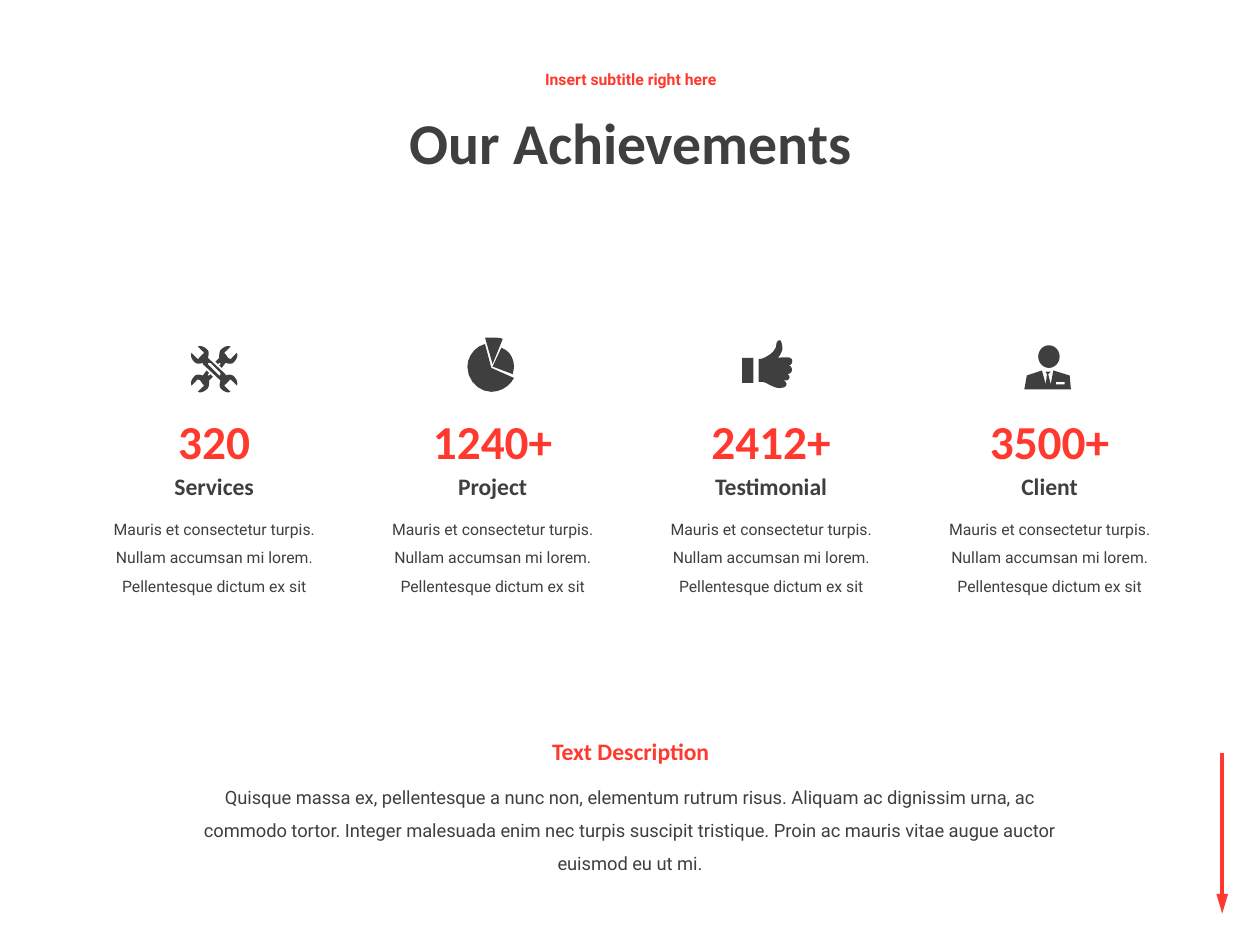
from lxml import etree
from pptx import Presentation
from pptx.dml.color import RGBColor
from pptx.enum.shapes import MSO_CONNECTOR, MSO_SHAPE
from pptx.enum.text import MSO_ANCHOR, MSO_AUTO_SIZE, PP_ALIGN
from pptx.oxml.ns import qn
from pptx.util import Inches, Pt

CENTER = PP_ALIGN.CENTER
MIDDLE, TOP = MSO_ANCHOR.MIDDLE, MSO_ANCHOR.TOP
FIT_TEXT, NO_FIT = MSO_AUTO_SIZE.SHAPE_TO_FIT_TEXT, MSO_AUTO_SIZE.NONE
RECT, OVAL = MSO_SHAPE.RECTANGLE, MSO_SHAPE.OVAL
STRAIGHT = MSO_CONNECTOR.STRAIGHT

THEME = {
    "red": RGBColor(0xFF, 0x39, 0x2E),
    "dark": RGBColor(0x3F, 0x3F, 0x3F),
    "heading": "Calibri",
    "body": "Roboto",
    "title_size": 33,
    "number_size": 27,
    "label_size": 13.5,
    "text_size": 10.5,
    "small_size": 9,
}
RED, DARK = THEME["red"], THEME["dark"]
HEADING, BODY = THEME["heading"], THEME["body"]

prs = Presentation()
prs.slide_width, prs.slide_height = Inches(10), Inches(7.5)
s = prs.slides.add_slide(prs.slide_layouts[5])


def put_text(sp, box, text, font, size, color, bold=True, spacing=1.0,
             anchor=TOP, fit=FIT_TEXT):
    """Place a text shape at box (inches) and format its single paragraph."""
    sp.left, sp.top, sp.width, sp.height = [Inches(v) for v in box]
    tf = sp.text_frame
    tf.word_wrap = True
    tf.auto_size = fit
    tf.vertical_anchor = anchor
    tf.margin_left = tf.margin_right = Inches(0.07)
    tf.margin_top = tf.margin_bottom = Inches(0.05)
    p = tf.paragraphs[0]
    p.text = text
    p.alignment = CENTER
    p.line_spacing = spacing
    f = p.runs[0].font
    f.name, f.size, f.bold = font, Pt(size), bold
    f.color.rgb = color


def add_outline(shapes, *contours):
    """Draw closed contours; a step is a point (x, y) or a Bezier curve of six numbers."""
    builder = None
    for contour in contours:
        points = []
        for step in contour:
            if len(step) == 2:
                points.append(step)
                continue
            ctrl = [points[-1], step[:2], step[2:4], step[4:]]
            for t in (0.2, 0.4, 0.6, 0.8, 1):
                weights = ((1 - t) ** 3, 3 * t * (1 - t) ** 2, 3 * t * t * (1 - t), t ** 3)
                points.append(tuple(sum(w * c[axis] for w, c in zip(weights, ctrl))
                                    for axis in (0, 1)))
        emu = [(Inches(x), Inches(y)) for x, y in points]
        if builder is None:
            builder = shapes.build_freeform(*emu[0])
        else:
            builder.move_to(*emu[0])
        builder.add_line_segments(emu[1:], close=True)
    builder.convert_to_shape()


# Title and subtitle
put_text(s.shapes.title, (2.19, 0.64, 5.63, 1.03), "Our Achievements", HEADING,
         THEME["title_size"], DARK, spacing=0.9, anchor=MIDDLE, fit=NO_FIT)
put_text(s.shapes.add_textbox(0, 0, 0, 0), (2.19, 0.45, 5.63, 0.38),
         "Insert subtitle right here", BODY, THEME["small_size"], RED,
         spacing=0.9, anchor=MIDDLE, fit=NO_FIT)

wrenches, pie, thumb, person = [s.shapes.add_group_shape() for _ in range(4)]

# Crossed wrenches: each half is repeated by a half turn about the centre
CX, CY = 1.7, 2.93
short_wrench = [
    (1.73, 2.89), (1.74, 2.88), (1.75, 2.88), (1.75, 2.89), (1.74, 2.9), (1.76, 2.92),
    (1.79, 2.88), (1.82, 2.89, 1.85, 2.89, 1.86, 2.87), (1.88, 2.85, 1.89, 2.82, 1.88, 2.8),
    (1.84, 2.84), (1.84, 2.85, 1.82, 2.85, 1.81, 2.84), (1.79, 2.81),
    (1.78, 2.81, 1.78, 2.79, 1.79, 2.79), (1.83, 2.75),
    (1.81, 2.74, 1.78, 2.75, 1.76, 2.77), (1.74, 2.78, 1.74, 2.81, 1.74, 2.84), (1.71, 2.87),
]
long_half = [
    (1.79, 2.97), (1.65, 2.84), (1.66, 2.81, 1.66, 2.78, 1.64, 2.77),
    (1.62, 2.75, 1.59, 2.74, 1.57, 2.75), (1.61, 2.79), (1.62, 2.79, 1.62, 2.81, 1.61, 2.81),
    (1.58, 2.84), (1.58, 2.85, 1.57, 2.85, 1.56, 2.84), (1.52, 2.8),
    (1.51, 2.82, 1.52, 2.85, 1.54, 2.87), (1.56, 2.89, 1.58, 2.89, 1.61, 2.88),
]
slot = [(1.75, 2.98), (1.74, 2.98), (1.65, 2.89), (1.65, 2.88), (1.67, 2.88), (1.75, 2.96)]
short_turned, long_turned = [
    [tuple(2 * (CY if i % 2 else CX) - v for i, v in enumerate(step)) for step in half]
    for half in (short_wrench, long_half)]
add_outline(wrenches.shapes, short_wrench)
add_outline(wrenches.shapes, short_turned)
add_outline(wrenches.shapes, long_half + long_turned, slot)

# Pie
add_outline(pie.shapes, [(3.91, 2.91), (4.07, 2.97), (4.07, 2.96, 4.08, 2.93, 4.08, 2.91),
                         (4.08, 2.84, 4.04, 2.78, 3.98, 2.76)])
add_outline(pie.shapes, [(3.9, 2.92), (3.85, 2.73), (3.77, 2.75, 3.71, 2.83, 3.71, 2.91),
                         (3.71, 3.02, 3.8, 3.11, 3.9, 3.11), (3.98, 3.11, 4.05, 3.06, 4.08, 3)])
add_outline(pie.shapes, [(3.91, 2.89), (3.99, 2.69), (3.97, 2.68, 3.94, 2.68, 3.9, 2.68),
                         (3.89, 2.68, 3.87, 2.68, 3.85, 2.68)])

# Thumb up
add_outline(thumb.shapes, [
    (6.27, 2.84), (6.25, 2.83, 6.17, 2.84, 6.17, 2.84), (6.19, 2.83, 6.21, 2.78, 6.21, 2.77),
    (6.21, 2.74, 6.2, 2.7, 6.19, 2.7), (6.16, 2.7, 6.16, 2.74, 6.16, 2.75),
    (6.15, 2.78, 6.12, 2.81, 6.1, 2.82), (6.08, 2.83, 6.06, 2.85, 6.02, 2.85), (6.02, 3.03),
    (6.04, 3.03, 6.06, 3.03, 6.08, 3.04), (6.12, 3.06, 6.15, 3.08, 6.19, 3.08),
    (6.26, 3.08, 6.25, 3.03, 6.22, 3.02), (6.27, 3.03, 6.28, 2.98, 6.25, 2.97),
    (6.3, 2.97, 6.29, 2.9, 6.26, 2.9), (6.29, 2.9, 6.3, 2.85, 6.27, 2.84)])
thumb.shapes.add_shape(RECT, Inches(5.89), Inches(2.84), Inches(0.09), Inches(0.2))

# Person in a suit
add_outline(person.shapes,
            [(8.49, 2.98), (8.36, 2.94), (8.34, 3.05), (8.32, 2.97), (8.34, 2.95), (8.3, 2.95),
             (8.31, 2.97), (8.3, 3.05), (8.27, 2.94), (8.15, 2.98), (8.13, 3.09), (8.5, 3.09)],
            [(8.45, 3.05), (8.38, 3.05), (8.38, 3.03), (8.45, 3.03)])
person.shapes.add_shape(OVAL, Inches(8.24), Inches(2.74), Inches(0.17), Inches(0.18))

for icon in (wrenches, pie, thumb, person):
    for sp in icon.shapes:
        sp.shadow.inherit = False
        sp.fill.solid()
        sp.fill.fore_color.rgb = DARK
        sp.line.fill.background()

# Figures in four equal columns
FIRST_CENTER, STEP = 1.7, 2.21
achievements = [("320", "Services"), ("1240+", "Project"),
                ("2412+", "Testimonial"), ("3500+", "Client")]
for i, (number, label) in enumerate(achievements):
    center = FIRST_CENTER + i * STEP
    put_text(s.shapes.add_textbox(0, 0, 0, 0), (center - 0.88, 3.22, 1.76, 0.56),
             number, HEADING, THEME["number_size"], RED)
    put_text(s.shapes.add_textbox(0, 0, 0, 0), (center - 0.7, 3.7, 1.4, 0.33),
             label, HEADING, THEME["label_size"], DARK)
    put_text(s.shapes.add_textbox(0, 0, 0, 0), (center - 0.98, 4, 1.96, 0.76),
             "Mauris et consectetur turpis. Nullam accumsan mi lorem. "
             "Pellentesque dictum ex sit",
             BODY, THEME["small_size"], DARK, bold=False, spacing=1.5)

# Description
put_text(s.shapes.add_textbox(0, 0, 0, 0), (3.91, 5.8, 2.19, 0.33),
         "Text Description", HEADING, THEME["label_size"], RED)
put_text(s.shapes.add_textbox(0, 0, 0, 0), (1.44, 6.1, 7.12, 0.6),
         "Quisque massa ex, pellentesque a nunc non, elementum rutrum risus. Aliquam ac "
         "dignissim urna, ac commodo tortor. Integer malesuada enim nec turpis suscipit "
         "tristique. Proin ac mauris vitae augue auctor euismod eu ut mi.",
         BODY, THEME["text_size"], DARK, bold=False, spacing=1.5)

# Arrow down the right edge
arrow = s.shapes.add_connector(STRAIGHT, Inches(9.7), Inches(5.98), Inches(9.7), Inches(7.25))
arrow.line.color.rgb = RED
arrow.line.width = Pt(2.25)
etree.SubElement(arrow.line._get_or_add_ln(), qn("a:tailEnd"), type="triangle", w="med", len="lg")
etree.SubElement(arrow._element.spPr, qn("a:effectLst"))

prs.save("out.pptx")
